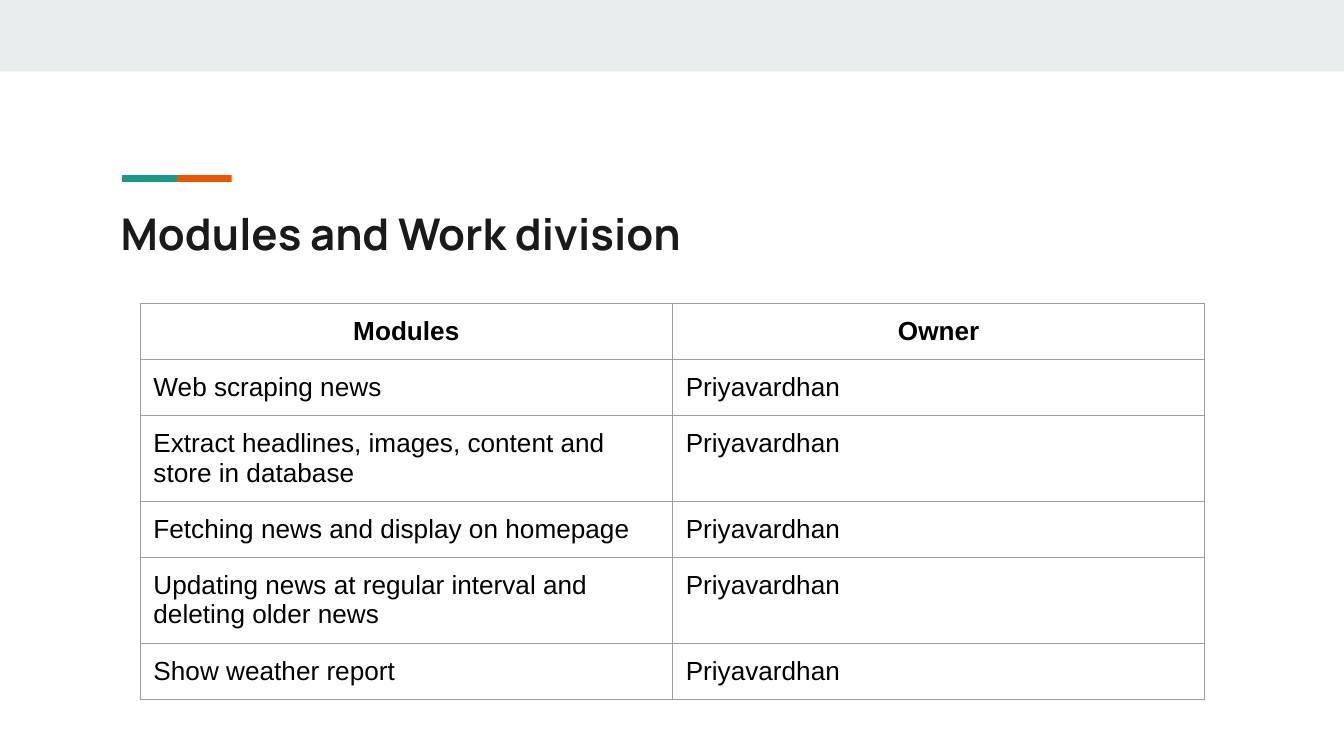
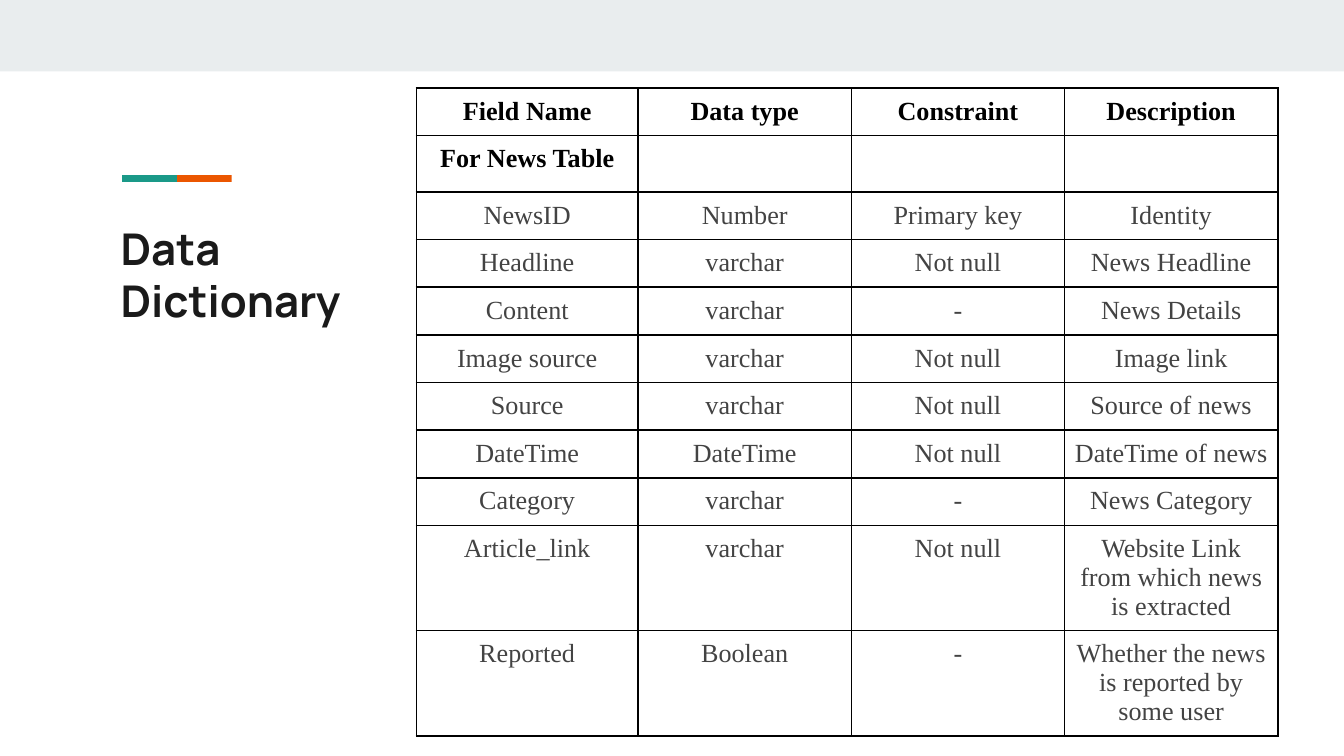
"""Build two slides on work division and the data dictionary."""
from lxml import etree
from pptx import Presentation
from pptx.dml.color import RGBColor
from pptx.enum.shapes import MSO_SHAPE
from pptx.enum.text import MSO_ANCHOR, MSO_AUTO_SIZE, PP_ALIGN
from pptx.oxml.ns import qn
from pptx.util import Cm, Pt

RECT = MSO_SHAPE.RECTANGLE
TOP = MSO_ANCHOR.TOP
FIXED = MSO_AUTO_SIZE.NONE
LEFT, MID = PP_ALIGN.LEFT, PP_ALIGN.CENTER

BAND = RGBColor(0xE9, 0xED, 0xEE)
TEAL = RGBColor(0x1A, 0x99, 0x88)
ORANGE = RGBColor(0xEB, 0x56, 0x00)
INK = RGBColor(0x1A, 0x1A, 0x1A)
BLACK = RGBColor(0, 0, 0)
DARK = RGBColor(0x43, 0x43, 0x43)
GREY = RGBColor(0x9E, 0x9E, 0x9E)

OWNER = "Priyavardhan"
TASKS = [
    "Web scraping news",
    "Extract headlines, images, content and store in database",
    "Fetching news and display on homepage",
    "Updating news at regular interval and deleting older news",
    "Show weather report",
]
FIELDS = [
    ("Field Name", "Data type", "Constraint", "Description"),
    ("For News Table", "", "", ""),
    ("NewsID", "Number", "Primary key", "Identity"),
    ("Headline", "varchar", "Not null", "News Headline"),
    ("Content", "varchar", "-", "News Details"),
    ("Image source", "varchar", "Not null", "Image link"),
    ("Source", "varchar", "Not null", "Source of news"),
    ("DateTime", "DateTime", "Not null", "DateTime of news"),
    ("Category", "varchar", "-", "News Category"),
    ("Article_link", "varchar", "Not null",
     "Website Link from which news is extracted"),
    ("Reported", "Boolean", "-", "Whether the news is reported by some user"),
]


class Deck:
    """Hold the shared style and the current slide."""

    def __init__(self):
        self.prs = Presentation()
        self.prs.slide_width = Cm(25.4)
        self.prs.slide_height = Cm(14.29)
        self.slide = None

    def page(self, lines, top):
        self.slide = self.prs.slides.add_slide(self.prs.slide_layouts[5])
        self.bar(self.slide.shapes, 0, 0, 25.4, 1.35, BAND)
        self.accent(2.31, 3.31)
        self.title(lines, top)

    def bar(self, shapes, left, top, width, height, color):
        bar = shapes.add_shape(
            RECT, Cm(left), Cm(top), Cm(width), Cm(height))
        bar.shadow.inherit = False
        bar.fill.solid()
        bar.fill.fore_color.rgb = color
        bar.line.fill.background()
        return bar

    def accent(self, left, top):
        thick, span = 0.07, 1.48
        group = self.slide.shapes.add_group_shape()
        for mid, color in ((1.5 * span, ORANGE), (0.5 * span, TEAL)):
            bar = self.bar(group.shapes, left + mid - thick / 2,
                           top + (thick - span) / 2, thick, span, color)
            bar.rotation = 270
        group.left, group.top = Cm(left), Cm(top)
        group.width, group.height = Cm(2.07), Cm(0.13)
        frame = group.element.find(qn("p:grpSpPr")).find(qn("a:xfrm"))
        inner = frame.find(qn("a:chOff"))
        inner.set("x", str(Cm(left)))
        inner.set("y", str(Cm(top)))
        size = frame.find(qn("a:chExt"))
        size.set("cx", str(Cm(2 * span)))
        size.set("cy", str(Cm(thick)))

    def title(self, lines, top):
        box = self.slide.shapes.title
        box.left, box.top = Cm(2.03), Cm(top)
        box.width, box.height = Cm(21.36), Cm(1.5)
        frame = box.text_frame
        frame.word_wrap = True
        frame.auto_size = FIXED
        frame.vertical_anchor = TOP
        self.inset(frame, 0.25)
        for i, line in enumerate(lines):
            para = frame.add_paragraph() if i else frame.paragraphs[0]
            para.line_spacing = 1.0
            para.space_before = Pt(0)
            self.run(para, line, LEFT, "Manrope", 23.4, INK, True)

    def inset(self, item, gap):
        item.margin_left = item.margin_right = Cm(gap)
        item.margin_top = item.margin_bottom = Cm(gap)

    def run(self, para, text, align, face, size, color, bold):
        para.alignment = align
        run = para.add_run()
        run.text = text
        font = run.font
        font.name, font.size, font.bold = face, Pt(size), bold
        font.color.rgb = color

    def table(self, data, left, top, widths, heights, face, gap, heads,
              align, color, edge, weight):
        grid = self.slide.shapes.add_table(
            len(data), len(widths), Cm(left), Cm(top),
            Cm(sum(widths)), Cm(sum(heights))).table
        grid.first_row = grid.horz_banding = False
        for col, width in zip(grid.columns, widths):
            col.width = Cm(width)
        for r, (row, height) in enumerate(zip(data, heights)):
            grid.rows[r].height = Cm(height)
            head = r < heads
            for c, text in enumerate(row):
                cell = grid.cell(r, c)
                cell.fill.background()
                self.border(cell, edge, weight)
                if text:
                    self.inset(cell, gap)
                    self.run(cell.text_frame.paragraphs[0], text,
                             MID if head else align, face, 14,
                             BLACK if head else color, head)

    def border(self, cell, color, weight):
        props = cell._tc.get_or_add_tcPr()
        for i, side in enumerate("LRTB"):
            line = etree.Element(qn(f"a:ln{side}"), w=str(Pt(weight)))
            fill = etree.SubElement(line, qn("a:solidFill"))
            etree.SubElement(fill, qn("a:srgbClr"), val=str(color))
            props.insert(i, line)


def main():
    deck = Deck()
    deck.page(["Modules and Work division"], 3.66)
    rows = [("Modules", "Owner")] + [(task, OWNER) for task in TASKS]
    tall = [1.62 if len(task) > 40 else 1.06 for task, _ in rows]
    deck.table(rows, 2.65, 5.74, [10.06] * 2, tall, "Arial", 0.25, 1,
               LEFT, BLACK, GREY, 0.75)

    deck.page(["Data", "Dictionary"], 3.94)
    tall = [0.9, 1.07] + [0.9] * 7 + [1.99] * 2
    deck.table(FIELDS, 7.87, 1.66, [4.19] + [4.03] * 3, tall,
               "Times New Roman", 0.17, 2, MID, DARK, BLACK, 1)
    deck.prs.save("out.pptx")


if __name__ == "__main__":
    main()
